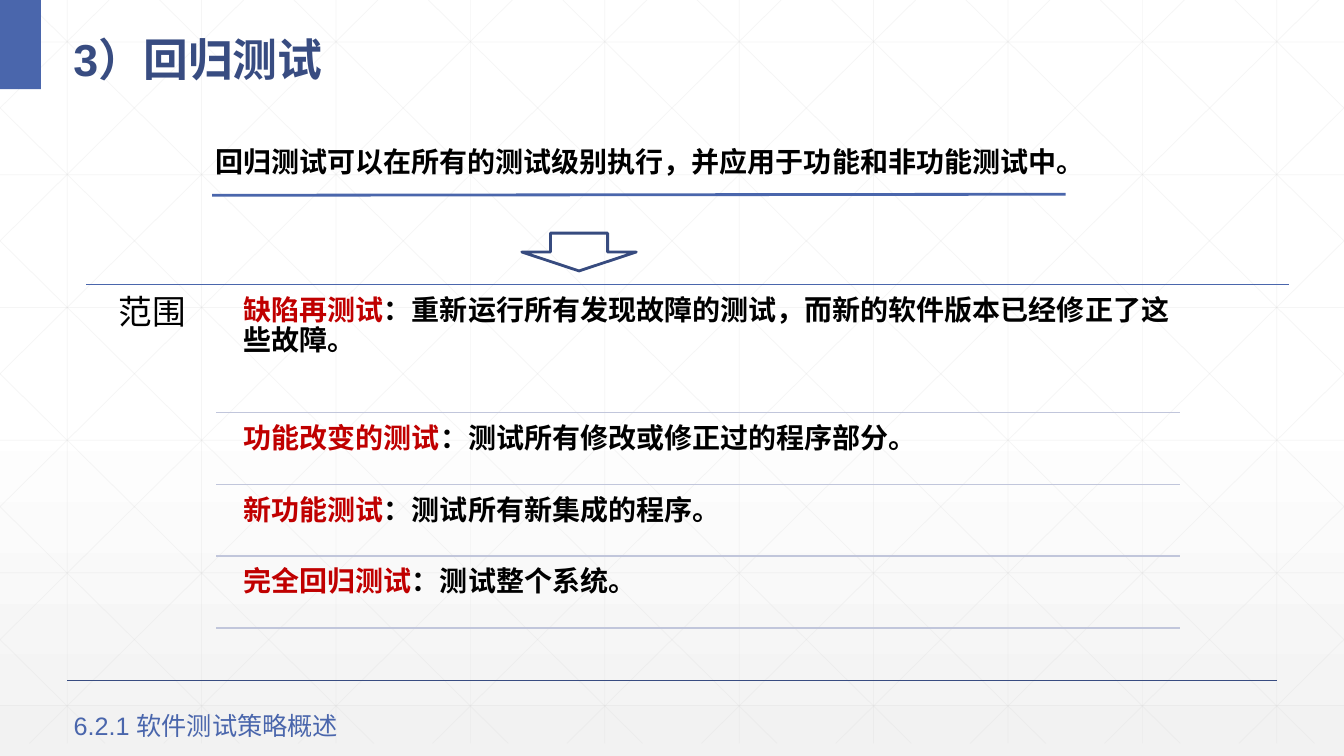
from lxml import etree
from pptx import Presentation
from pptx.dml.color import RGBColor
from pptx.enum import shapes, text
from pptx.oxml import ns
from pptx import util as u

WIDE, TALL = 1280, 720
SCALE = 9525  # EMU in one px
HUES = {"blue": "4A66AC", "navy": "384C81", "edge": "374B7F", "red": "C00000",
        "black": "000000", "rule": "C1C6DB", "grid": "D9D9D9",
        "white": "FFFFFF", "grey": "F2F2F2"}
SANS, HAN = "Arial", "Noto Sans CJK SC"
TOP, MID = text.MSO_ANCHOR.TOP, text.MSO_ANCHOR.MIDDLE
LEFT, MIDDLE = text.PP_ALIGN.LEFT, text.PP_ALIGN.CENTER


def px(n):
    return u.Emu(round(n * SCALE))


def hue(name):
    return RGBColor.from_string(HUES[name])


def sub(node, tag, **attrs):
    return etree.SubElement(node, ns.qn(tag), **attrs)


def line(slide, x1, y1, x2, y2, name, width=1, alpha=None):
    wire = slide.shapes.add_connector(
        shapes.MSO_CONNECTOR.STRAIGHT, px(x1), px(y1), px(x2), px(y2))
    wire.line.color.rgb = hue(name)
    wire.line.width = u.Pt(width)
    if alpha:
        tint = next(wire.line._ln.iter(ns.qn("a:srgbClr")))
        sub(tint, "a:alpha", val=str(alpha * 1000))
    sub(wire._element.spPr, "a:effectLst")


def label(slide, box, parts, size, font=SANS, bold=False, align=LEFT,
          anchor=TOP, inset=(10, 5), lead=1.0):
    """Write one paragraph of (words, colour) parts in a box."""
    frame = slide.shapes.add_textbox(*map(px, box)).text_frame
    frame.word_wrap = True
    frame.vertical_anchor = anchor
    frame.margin_left = frame.margin_right = px(inset[0])
    frame.margin_top = frame.margin_bottom = px(inset[1])
    para = frame.paragraphs[0]
    para.alignment, para.line_spacing = align, lead
    for words, name in parts:
        run = para.add_run()
        run.text = words
        run.font.size, run.font.bold, run.font.name = u.Pt(size), bold, font
        run.font.color.rgb = hue(name)
        sub(run.font._element, "a:ea", typeface=HAN)


def backdrop(slide, box):
    x, y, w, h = box
    fill = slide.background.fill
    fill.gradient()
    fill.gradient_angle = 270
    for stop, place, name in zip(fill.gradient_stops, (0.53, 1), ("white", "grey")):
        stop.position = place
        stop.color.rgb = hue(name)

    def thin(x1, y1, x2, y2):
        line(slide, x + x1, y + y1, x + x2, y + y2, "grid", 0.5, 25)

    # Upright and level lines
    gap = w / 10
    for col in range(10):
        thin(gap * (col + 0.5), 0, gap * (col + 0.5), h)
    for row in range(6):
        thin(0, 40 + 126.4 * row, w, 40 + 126.4 * row)
    # Slanted lines, cut at the sides, each with its mirror
    slope = 716 / h
    for step in range(-5, 10):
        start = 24 + gap * step
        x1, x2 = max(start, 0), min(start + slope * h, w)
        y1, y2 = (x1 - start) / slope, (x2 - start) / slope
        thin(x1, y1, x2, y2)
        thin(w - x1, y1, w - x2, y2)


def header(slide, box):
    x, y, w, h = box
    tab = slide.shapes.add_shape(shapes.MSO_SHAPE.RECTANGLE, *map(px, (x, y, 39, h)))
    tab.shadow.inherit = False
    tab.fill.solid()
    tab.fill.fore_color.rgb = hue("blue")
    tab.line.fill.background()
    label(slide, (x + 60, y + 13, w - 123, h - 14), [("3）回归测试", "navy")],
          32, bold=True, anchor=MID, lead=1.3)


def claim(slide, box):
    x, y, w, h = box
    label(slide, (x, y, w, 42),
          [("回归测试可以在所有的测试级别执行，并应用于功能和非功能测试中。", "black")],
          20, HAN, True, MIDDLE)
    line(slide, x + 41, y + 53, x + 854, y + 52, "blue", 2)
    arrow = slide.shapes.add_shape(
        shapes.MSO_SHAPE.DOWN_ARROW, *map(px, (x + 336, y + h - 36, 109, 36)))
    arrow.shadow.inherit = False
    arrow.fill.background()
    arrow.line.color.rgb = hue("edge")
    arrow.line.width = u.Pt(2)


def scope(slide, box):
    x, y, w, h = box
    line(slide, x, y, x + w, y, "blue")
    label(slide, (x, y, 126, h), [("范围", "black")], 24,
          align=MIDDLE, inset=(10, 10), lead=0.9)
    rows = [("缺陷再测试", "：重新运行所有发现故障的测试，而新的软件版本已经修正了这些故障。"),
            ("功能改变的测试", "：测试所有修改或修正过的程序部分。"),
            ("新功能测试", "：测试所有新集成的程序。"),
            ("完全回归测试", "：测试整个系统。")]
    first = 122
    rest = (h - first) / (len(rows) - 1)
    top = y
    for i, (term, gist) in enumerate(rows):
        deep = rest if i else first
        label(slide, (x + 142, top + 3, 900, deep - 3),
              [(term, "red"), (gist, "black")], 20, HAN, True,
              inset=(8, 8), lead=0.9)
        top += deep
        line(slide, x + 124, top, x + 1042, top, "rule")


def footer(slide, box):
    x, y, w, h = box
    line(slide, x + 4, y, x + w, y, "navy")
    label(slide, (x, y + 23, 378, h - 23), [("6.2.1 软件测试策略概述", "blue")], 18)


def main():
    deck = Presentation()
    deck.slide_width, deck.slide_height = px(WIDE), px(TALL)
    slide = deck.slides.add_slide(deck.slide_layouts[6])
    backdrop(slide, (0, 0, WIDE, 708))
    header(slide, (0, 0, WIDE, 85))
    claim(slide, (161, 133, 916, 125))
    scope(slide, (82, 271, 1146, 327))
    footer(slide, (60, 648, 1156, 61))
    deck.save("out.pptx")


if __name__ == "__main__":
    main()
